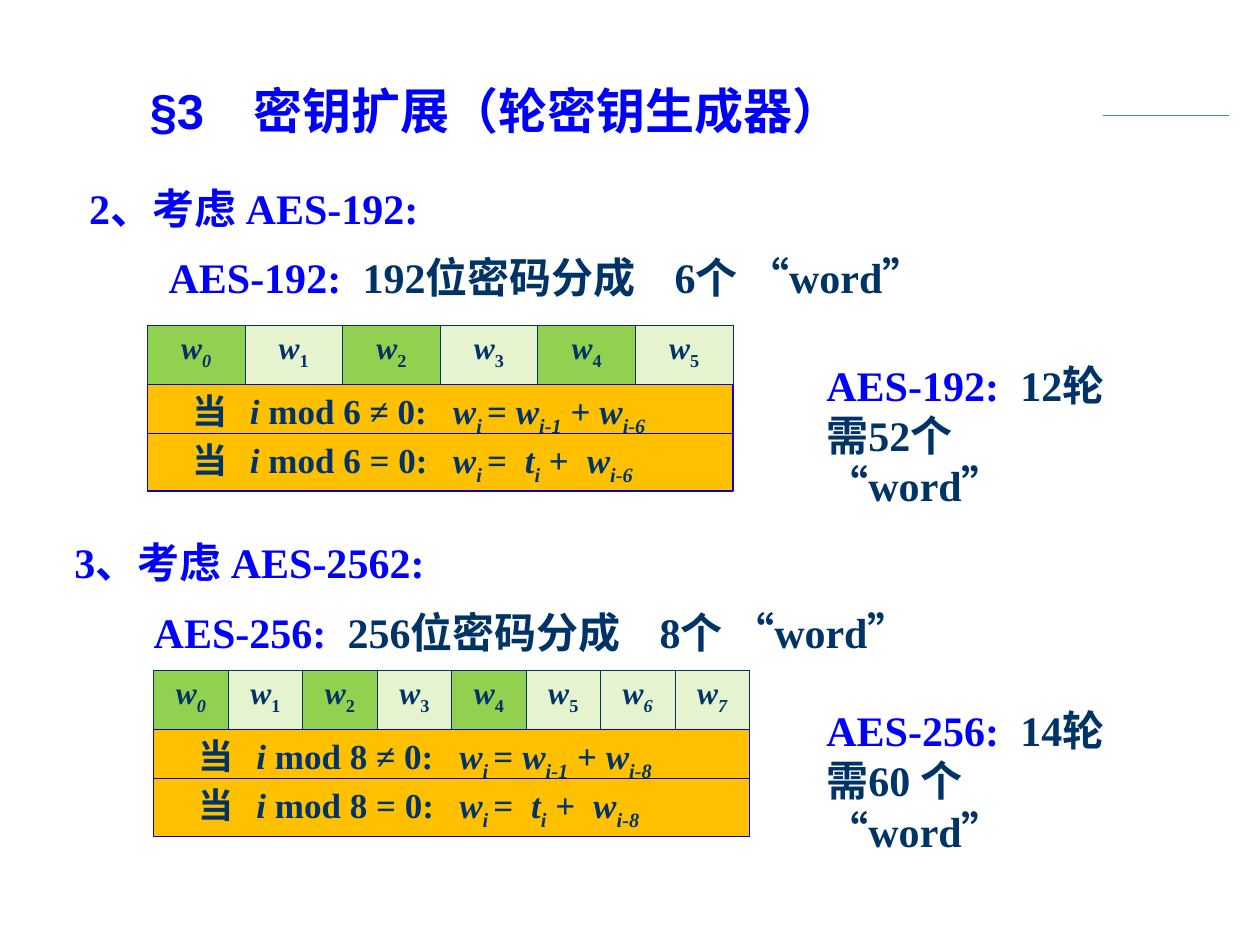
from dataclasses import dataclass
from lxml.etree import SubElement as Sub
from pptx import Presentation
from pptx.dml.color import RGBColor as Rgb
from pptx.enum.shapes import MSO_CONNECTOR as Link, MSO_SHAPE as Kind
from pptx.enum.text import MSO_ANCHOR as Anchor, PP_ALIGN as Align
from pptx.oxml.ns import qn
from pptx.util import Cm, Pt


@dataclass(frozen=True)
class Theme:
    blue: str = "0000FF"
    navy: str = "003366"
    steel: str = "438ACB"
    green: str = "92D050"
    pale: str = "E5F4CE"
    gold: str = "FFC000"
    serif: str = "Times New Roman"
    sans: str = "Arial"
    title: int = 28
    body: int = 24
    rule: int = 20
    cell: int = 18


@dataclass(frozen=True)
class Box:
    x: float
    y: float
    w: float
    h: float

    def sub(self, x, y, w, h):
        return Box(self.x + x, self.y + y, w, h)

    def cm(self):
        return [Cm(v) for v in (self.x, self.y, self.w, self.h)]


T = Theme()


def color(code):
    return Rgb.from_string(code)


def write(par, runs, size, ink=T.navy, face=T.serif, tabs=()):
    if tabs:
        stops = Sub(par._p.get_or_add_pPr(), qn("a:tabLst"))
        for pos in tabs:
            Sub(stops, qn("a:tab"), pos=str(Cm(pos)), algn="l")
    font = par.font
    font.size, font.name, font.bold = Pt(size), face, True
    font.color.rgb = color(ink)
    for text, style in runs:
        run = par.add_run()
        run.text = text
        if "i" in style:
            run.font.italic = True
        if "s" in style:
            run._r.get_or_add_rPr().set("baseline", "-25000")
        if "b" in style:
            run.font.color.rgb = color(T.blue)


def frame(shape, left=0.2):
    body = shape.text_frame
    body.word_wrap = True
    body.vertical_anchor = Anchor.TOP
    body.margin_left, body.margin_right = Cm(left), Cm(0.2)
    body.margin_top = body.margin_bottom = Cm(0.1)
    return body


def label(slide, box, lines, size=T.body, **look):
    body = frame(slide.shapes.add_textbox(*box.cm()))
    for n, runs in enumerate(lines):
        par = body.add_paragraph() if n else body.paragraphs[0]
        write(par, runs, size, **look)


def header(slide, box):
    label(slide, box, [[("§3\t密钥扩展（轮密钥生成器）", "")]], T.title,
          ink=T.blue, face=T.sans, tabs=(2.1,))
    y = Cm(2.33)
    line = slide.shapes.add_connector(Link.STRAIGHT, Cm(22.23), y, Cm(24.77), y)
    line.line.color.rgb = color(T.steel)
    line.line.width = Pt(0.75)
    Sub(line._element.spPr, qn("a:effectLst"))


def edge(cell):
    props = cell._tc.get_or_add_tcPr()
    for n, side in enumerate(("lnL", "lnR", "lnT", "lnB")):
        line = props.makeelement(qn("a:" + side), {"w": str(Pt(0.45))})
        fill = Sub(line, qn("a:solidFill"))
        Sub(fill, qn("a:srgbClr"), val=T.navy)
        props.insert(n, line)


def words(slide, box, count):
    grid = slide.shapes.add_table(1, count, *box.cm()).table
    for n in range(count):
        grid.columns[n].width = Cm(box.w / count)
        cell = grid.cell(0, n)
        cell.fill.solid()
        cell.fill.fore_color.rgb = color(T.green if n in (0, 2, 4) else T.pale)
        edge(cell)
        cell.margin_left = cell.margin_right = Cm(0.1)
        par = cell.text_frame.paragraphs[0]
        par.alignment = Align.CENTER
        slant = "si" if n in (0, 6, 7) else "s"
        write(par, [("w", "i"), (str(n), slant)], T.cell)


def rule(slide, box, runs):
    bar = slide.shapes.add_shape(Kind.RECTANGLE, *box.cm())
    bar.shadow.inherit = False
    bar.fill.solid()
    bar.fill.fore_color.rgb = color(T.gold)
    bar.line.color.rgb = color(T.blue)
    bar.line.width = Pt(0.75)
    par = frame(bar, 0.91).paragraphs[0]
    par.alignment = Align.LEFT
    write(par, runs, T.rule, tabs=(1.16, 5.25, 6.7, 7.95))


def rules(slide, box, count):
    def start(sign):
        return [("当\t", ""), ("i ", "i"), (f"mod {count} {sign} 0:\t", ""),
                ("w", "i"), ("i ", "is")]

    last = [("w", "i"), (f"i-{count}", "is")]
    plain = [("= ", ""), ("w", "i"), ("i-1", "is"), (" + ", "")]
    mixed = [("=\t", ""), ("t", "i"), ("i", "is"), (" +\t", "")]
    for n, (sign, mid) in enumerate((("≠", plain), ("=", mixed))):
        rule(slide, box.sub(0, n * 0.99, box.w, 1.16), start(sign) + mid + last)


def section(slide, box, grid, head, bits, count, rounds, need):
    name = (f"AES-{bits}:", "b")
    label(slide, box.sub(0, 0, 12, 1.22), [[(head, "")]], ink=T.blue)
    label(slide, box.sub(1.6, 1.4, 19.2, 1.22),
          [[name, (f"\t{bits}位密码分成\t{count}个 “word”", "")]],
          tabs=(3.91, 10.2))
    words(slide, grid, count)
    rules(slide, grid.sub(0, 1.2, grid.w, 2.15), count)
    label(slide, Box(16.46, grid.y + 0.59, 6.4, 3.25),
          [[name, (f"\t{rounds}轮", "")], [(f"需{need} “word”", "")]],
          tabs=(3.91,))


def main():
    deck = Presentation()
    deck.slide_width, deck.slide_height = Cm(25.4), Cm(19.05)
    slide = deck.slides.add_slide(deck.slide_layouts[6])
    header(slide, Box(2.82, 1.52, 19, 1.4))
    section(slide, Box(1.6, 3.58, 21.5, 6.7), Box(2.97, 6.55, 11.81, 1.2),
            "2、考虑 AES-192:", 192, 6, 12, "52个")
    section(slide, Box(1.3, 10.72, 21.5, 6.7), Box(3.1, 13.51, 12.01, 1.2),
            "3、考虑 AES-2562:", 256, 8, 14, "60 个")
    deck.save("out.pptx")


if __name__ == "__main__":
    main()
